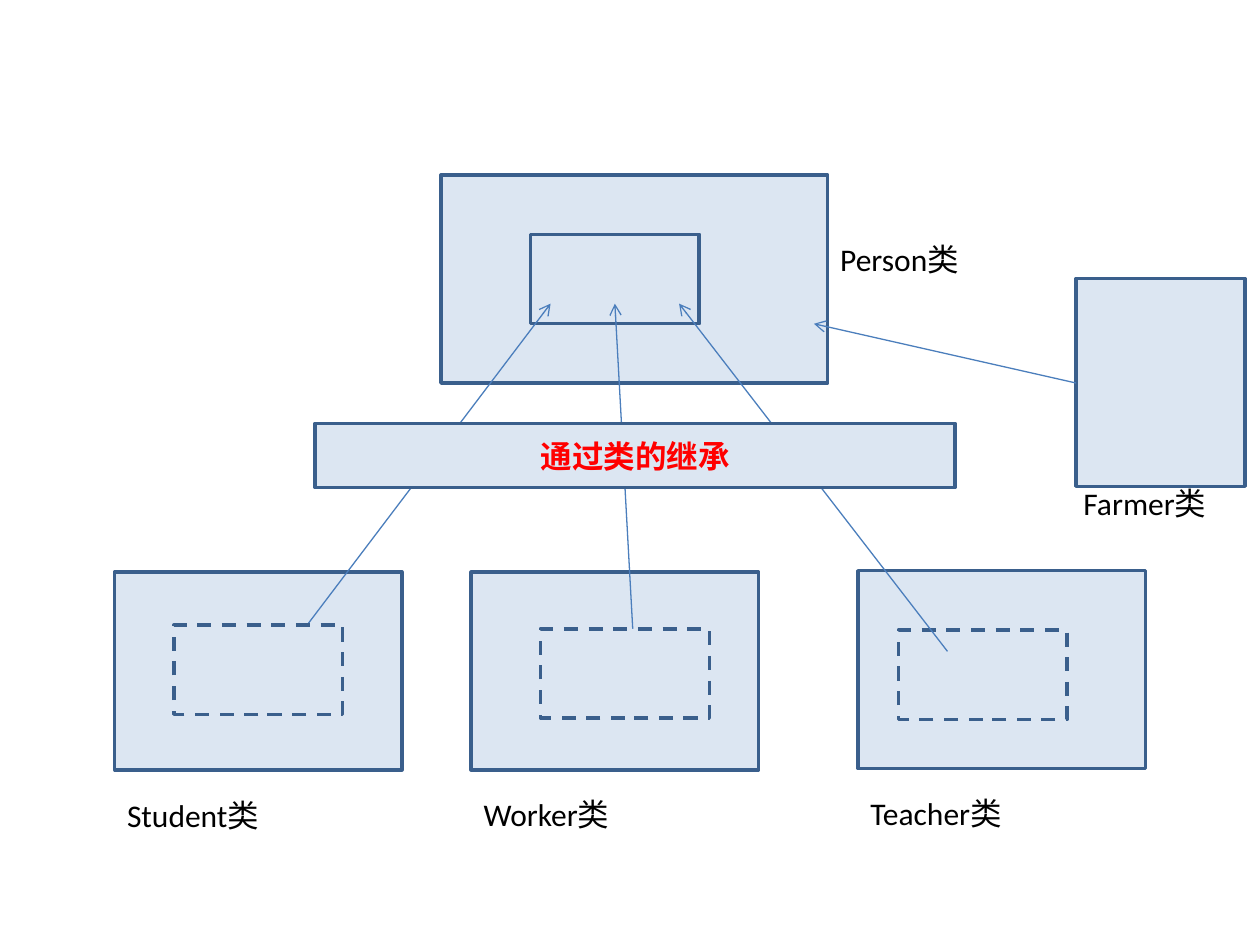
"""Build a class inheritance diagram slide."""
from dataclasses import dataclass

from lxml import etree
from pptx import Presentation
from pptx import util as u
from pptx.dml.color import RGBColor
from pptx.enum import dml, shapes, text
from pptx.oxml import ns
from pptx.shapes.autoshape import Shape
from pptx.slide import Slide

BOX_FILL = RGBColor(0xDC, 0xE6, 0xF2)
BOX_LINE = RGBColor(0x3A, 0x5F, 0x8C)
ARROW_LINE = RGBColor(0x4B, 0x7E, 0xBC)
BLACK = RGBColor(0, 0, 0)
RED = RGBColor(0xFF, 0, 0)
CLASS_SIZE = (2.28, 1.57)
MEMBER_SIZE = (1.34, 0.71)


@dataclass(frozen=True)
class Box:
    left: float
    top: float
    width: float
    height: float
    dashed: bool = False


@dataclass(frozen=True)
class Label:
    wording: str
    left: float
    top: float
    width: float = CLASS_SIZE[0]


@dataclass(frozen=True)
class Arrow:
    start: tuple[float, float]
    end: tuple[float, float]


PERSON = Box(3.5, 1.39, 3.07, 1.65)
PERSON_MEMBERS = Box(4.21, 1.86, *MEMBER_SIZE)
SUBCLASSES = [
    Box(0.91, 4.54, *CLASS_SIZE),
    Box(3.74, 4.54, *CLASS_SIZE),
    Box(6.81, 4.53, *CLASS_SIZE),
]
STUDENT_MEMBERS = Box(1.38, 4.96, *MEMBER_SIZE, dashed=True)
WORKER_MEMBERS = Box(4.29, 4.99, *MEMBER_SIZE, dashed=True)
TEACHER_MEMBERS = Box(7.13, 5, *MEMBER_SIZE, dashed=True)
BANNER = Box(2.5, 3.36, 5.08, 0.51)
FARMER = Box(8.54, 2.21, 1.34, 1.65)
INHERITANCE_ARROWS = [
    Arrow((2.4, 5.01), (4.37, 2.41)),
    Arrow((5.04, 5.32), (4.88, 2.41)),
    Arrow((7.52, 5.17), (5.39, 2.41)),
]
FARMER_ARROW = Arrow((8.54, 3.04), (6.46, 2.57))
LABELS = [
    Label("Student类", 0.91, 6.27),
    Label("Worker类", 3.74, 6.26),
    Label("Teacher类", 6.81, 6.25),
    Label("Person类", 6.57, 1.86, 1.97),
    Label("Farmer类", 8.5, 3.79, 1.5),
]


def write_text(shape: Shape, wording: str, color: RGBColor, bold: bool = False) -> None:
    """Put one formatted paragraph into a shape."""
    shape.text_frame.word_wrap = True
    paragraph = shape.text_frame.paragraphs[0]
    paragraph.text = wording
    paragraph.font.name = "Calibri"
    paragraph.font.size = u.Pt(18)
    paragraph.font.bold = bold
    paragraph.font.color.rgb = color


def draw_box(slide: Slide, box: Box) -> Shape:
    """Draw a class or member rectangle."""
    shape = slide.shapes.add_shape(
        shapes.MSO_SHAPE.RECTANGLE,
        u.Inches(box.left), u.Inches(box.top), u.Inches(box.width), u.Inches(box.height),
    )
    shape.shadow.inherit = False
    shape.fill.solid()
    shape.fill.fore_color.rgb = BOX_FILL
    shape.line.color.rgb = BOX_LINE
    shape.line.width = u.Pt(2)
    if box.dashed:
        shape.line.dash_style = dml.MSO_LINE.DASH
    return shape


def draw_label(slide: Slide, label: Label) -> None:
    """Draw the name of a class."""
    shape = slide.shapes.add_textbox(
        u.Inches(label.left), u.Inches(label.top), u.Inches(label.width), u.Inches(0.4)
    )
    write_text(shape, label.wording, BLACK)
    shape.text_frame.auto_size = text.MSO_AUTO_SIZE.SHAPE_TO_FIT_TEXT


def draw_arrow(slide: Slide, arrow: Arrow) -> None:
    """Draw a thin line with an open arrowhead at its end."""
    connector = slide.shapes.add_connector(
        shapes.MSO_CONNECTOR.STRAIGHT, *map(u.Inches, arrow.start + arrow.end)
    )
    connector.line.color.rgb = ARROW_LINE
    connector.line.width = u.Pt(0.75)
    line = connector.line._get_or_add_ln()
    etree.SubElement(line, ns.qn("a:tailEnd"), type="arrow")
    etree.SubElement(connector._element.spPr, ns.qn("a:effectLst"))


def main() -> None:
    """Build and save the presentation."""
    presentation = Presentation()
    presentation.slide_width = u.Inches(10)
    presentation.slide_height = u.Inches(7.5)
    slide = presentation.slides.add_slide(presentation.slide_layouts[6])

    for box in [PERSON, *SUBCLASSES, TEACHER_MEMBERS, PERSON_MEMBERS]:
        draw_box(slide, box)
    for arrow in INHERITANCE_ARROWS:
        draw_arrow(slide, arrow)
    for box in [WORKER_MEMBERS, STUDENT_MEMBERS, FARMER]:
        draw_box(slide, box)

    banner = draw_box(slide, BANNER)
    write_text(banner, "通过类的继承", RED, bold=True)
    banner.text_frame.vertical_anchor = text.MSO_ANCHOR.MIDDLE
    banner.text_frame.paragraphs[0].alignment = text.PP_ALIGN.CENTER

    for label in LABELS:
        draw_label(slide, label)
    draw_arrow(slide, FARMER_ARROW)
    presentation.save("out.pptx")


if __name__ == "__main__":
    main()
